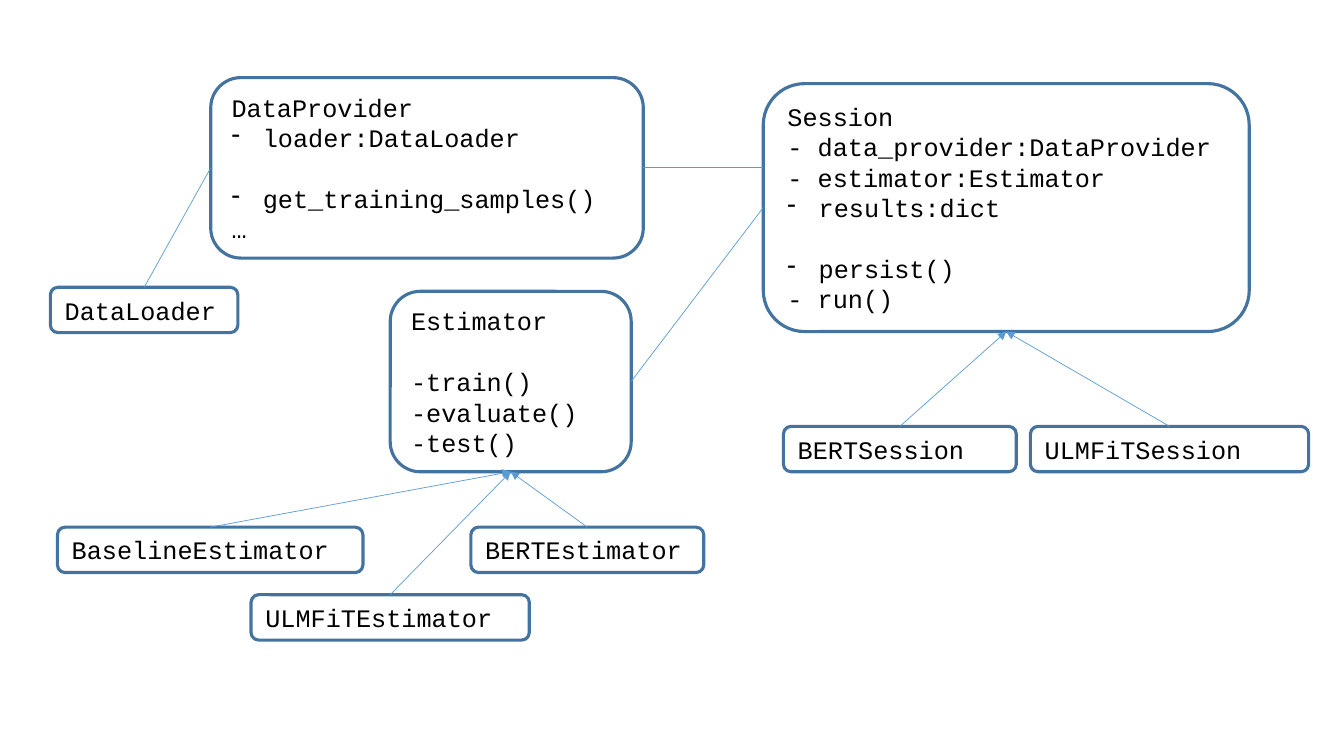
"""Build the class diagram of sessions, estimators and data loading."""
import dataclasses
import typing

import pptx
import pptx.dml.color
import pptx.enum.shapes
import pptx.enum.text
import pptx.oxml.ns
import pptx.util
from pptx.util import Inches

HUES = {"fill": "FFFFFF", "edge": "43739E", "link": "5B9BD5", "text": "000000"}
FONT = "Courier New"
GAP = pptx.util.Pt(22)
TOP, LEFT, BASE, RIGHT = range(4)


@dataclasses.dataclass(frozen=True)
class Line:
    text: str
    dash: bool = False
    gap: bool = False


@dataclasses.dataclass(frozen=True)
class Box:
    name: str
    left: float
    top: float
    width: float
    height: float = 0.45
    lines: tuple[Line, ...] = ()

    def site(self, side: int) -> tuple[float, float]:
        """Give the middle of one side."""
        across, down = ((0.5, 0), (0, 0.5), (0.5, 1), (1, 0.5))[side]
        return self.left + across * self.width, self.top + down * self.height


@dataclasses.dataclass(frozen=True)
class Link:
    start: str
    exit: int
    end: str
    entry: int
    arrow: bool = False


BOXES = (
    Box("Session", 7.57, 0.83, 4.82, 2.46, (
        Line("- data_provider:DataProvider"),
        Line("- estimator:Estimator"),
        Line("results:dict", dash=True),
        Line("persist()", dash=True, gap=True),
        Line("- run()"))),
    Box("Estimator", 3.87, 2.89, 2.39, 1.79, (
        Line("-train()", gap=True), Line("-evaluate()"), Line("-test()"))),
    Box("DataProvider", 2.09, 0.77, 4.29, 1.79, (
        Line("loader:DataLoader", dash=True),
        Line("get_training_samples()", dash=True, gap=True),
        Line("…"))),
    Box("DataLoader", 0.5, 2.85, 1.86),
    Box("BaselineEstimator", 0.57, 5.23, 3.03),
    Box("BERTEstimator", 4.67, 5.23, 2.31),
    Box("ULMFiTEstimator", 2.49, 5.9, 2.76),
    Box("BERTSession", 7.77, 4.23, 2.31),
    Box("ULMFiTSession", 10.22, 4.23, 2.76),
)

KINDS = {
    "Session": ("BERTSession", "ULMFiTSession"),
    "Estimator": ("BaselineEstimator", "BERTEstimator", "ULMFiTEstimator"),
}
LINKS = (
    Link("Estimator", RIGHT, "Session", LEFT),
    Link("DataLoader", TOP, "DataProvider", LEFT),
    *(Link(kid, TOP, root, BASE, arrow=True)
      for root, kids in KINDS.items() for kid in kids),
)


def hue(name: str) -> pptx.dml.color.RGBColor:
    """Give the named colour."""
    return pptx.dml.color.RGBColor.from_string(HUES[name])


def add_tag(node: typing.Any, tag: str, **traits: str) -> None:
    """Append a drawing element to a node."""
    node.append(node.makeelement(pptx.oxml.ns.qn(tag), traits))


def draw_box(slide: typing.Any, box: Box) -> typing.Any:
    """Draw a class with its members."""
    shape = slide.shapes.add_shape(
        pptx.enum.shapes.MSO_SHAPE.ROUNDED_RECTANGLE,
        *map(Inches, (box.left, box.top, box.width, box.height)))
    shape.shadow.inherit = False
    shape.fill.solid()
    shape.fill.fore_color.rgb = hue("fill")
    shape.line.color.rgb = hue("edge")
    shape.line.width = pptx.util.Pt(2.25)

    frame = shape.text_frame
    frame.word_wrap = True
    frame.vertical_anchor = pptx.enum.text.MSO_ANCHOR.MIDDLE
    frame.margin_left, frame.margin_right = Inches(0.12), Inches(0.1)
    frame.margin_top = frame.margin_bottom = Inches(0.05)
    lines = (Line(box.name), *box.lines)
    frame.text = "\n".join(line.text for line in lines)
    for line, para in zip(lines, frame.paragraphs):
        para.alignment = pptx.enum.text.PP_ALIGN.LEFT
        if line.gap:
            para.space_before = GAP
        if line.dash:
            props = para._p.get_or_add_pPr()
            props.set("marL", str(Inches(0.31)))
            props.set("indent", str(-Inches(0.31)))
            add_tag(props, "a:buChar", char="-")
        for run in para.runs:
            run.font.name = FONT
            run.font.size = pptx.util.Pt(18)
            run.font.color.rgb = hue("text")
    return shape


def add_wire(slide: typing.Any, start: tuple[float, float],
             end: tuple[float, float], arrow: bool = False) -> typing.Any:
    """Draw a thin connector between two points."""
    wire = slide.shapes.add_connector(
        pptx.enum.shapes.MSO_CONNECTOR.STRAIGHT, *map(Inches, (*start, *end)))
    wire.line.color.rgb = hue("link")
    wire.line.width = pptx.util.Pt(0.5)
    if arrow:
        add_tag(wire.line._get_or_add_ln(), "a:tailEnd", type="triangle")
    add_tag(wire._element.spPr, "a:effectLst")
    return wire


def main() -> None:
    """Draw the boxes and link them."""
    deck = pptx.Presentation()
    deck.slide_width, deck.slide_height = Inches(13.33), Inches(7.5)
    slide = deck.slides.add_slide(deck.slide_layouts[6])
    plan = {box.name: box for box in BOXES}
    shapes = {box.name: draw_box(slide, box) for box in BOXES}
    for link in LINKS:
        wire = add_wire(slide, plan[link.start].site(link.exit),
                        plan[link.end].site(link.entry), link.arrow)
        wire.begin_connect(shapes[link.start], link.exit)
        wire.end_connect(shapes[link.end], link.entry)

    start = plan["DataProvider"].site(RIGHT)
    wire = add_wire(slide, start, (plan["Session"].left, start[1]))
    wire.begin_connect(shapes["DataProvider"], RIGHT)
    deck.save("out.pptx")


main()
